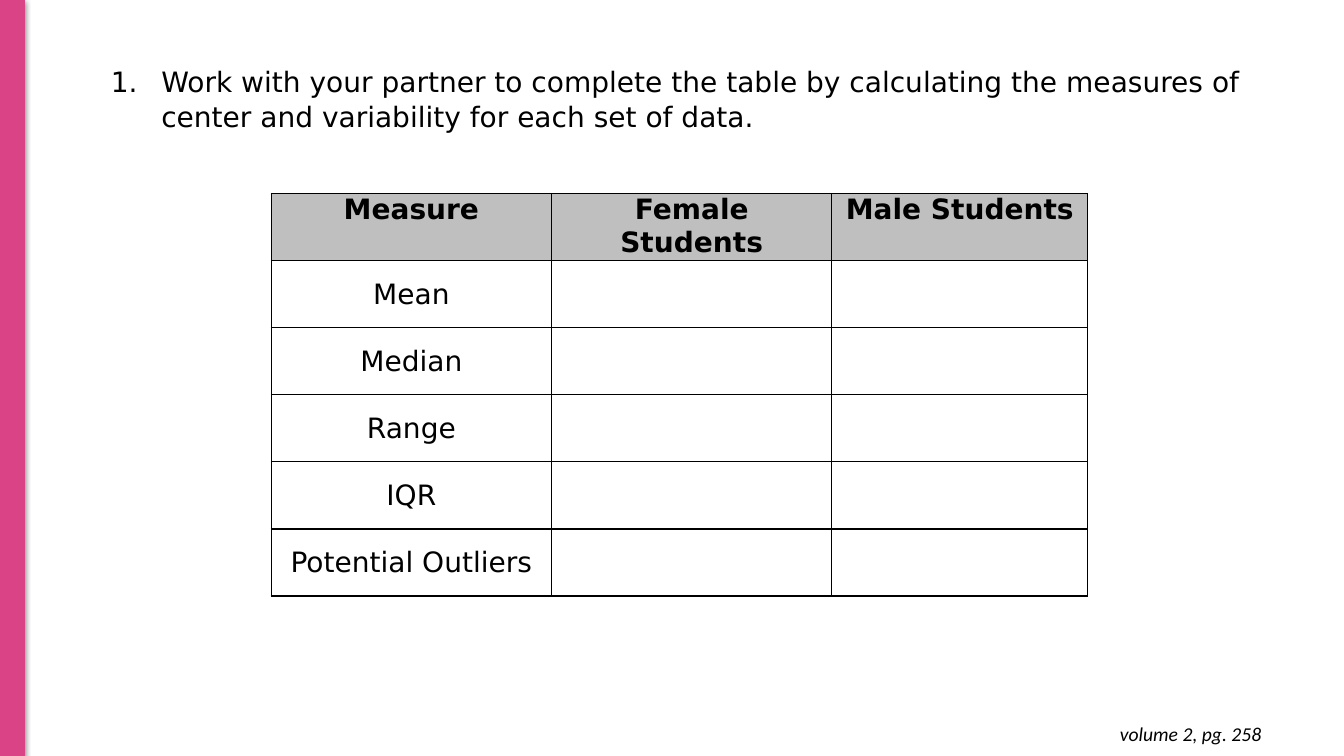
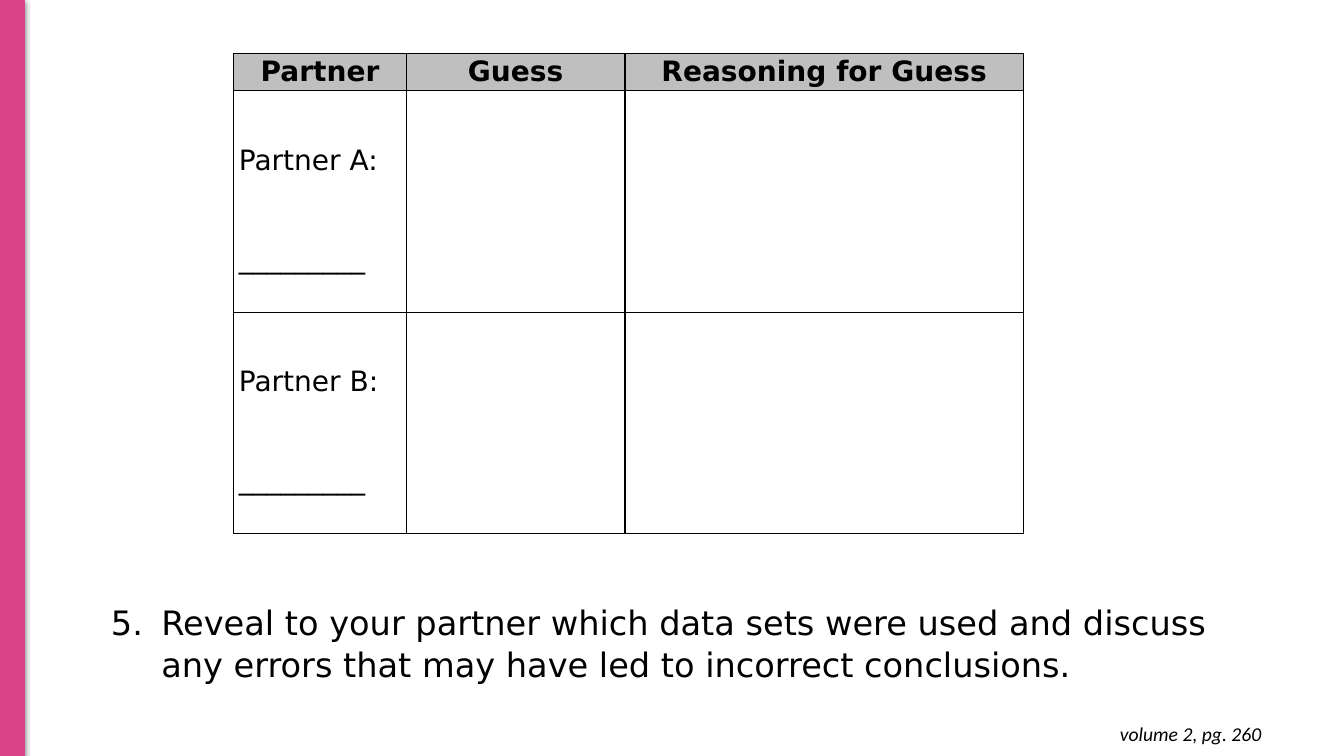
from lxml import etree
from pptx import Presentation
from pptx.dml.color import RGBColor
from pptx.enum.shapes import MSO_SHAPE
from pptx.enum.text import MSO_ANCHOR, MSO_AUTO_SIZE, PP_ALIGN
from pptx.oxml import parse_xml
from pptx.oxml.ns import nsdecls, qn
from pptx.util import Inches, Pt

RECTANGLE = MSO_SHAPE.RECTANGLE
TOP, MIDDLE = MSO_ANCHOR.TOP, MSO_ANCHOR.MIDDLE
LEFT, CENTER, RIGHT = PP_ALIGN.LEFT, PP_ALIGN.CENTER, PP_ALIGN.RIGHT

# Shared look
PINK = RGBColor(0xDA, 0x44, 0x87)
GRAY = RGBColor(0xBF, 0xBF, 0xBF)
BLACK = RGBColor(0x00, 0x00, 0x00)
TEXT_FONT, FOOTER_FONT = "DejaVu Sans", "Calibri"
CELL_SIZE, FOOTER_SIZE = 20, 14
ANSWER_GAP = Pt(35)
SLIDE_WIDTH, SLIDE_HEIGHT = Inches(13.33), Inches(7.5)

# Frames, in percent of the slide: left, top, width, height
BAND_FRAME = (0, 0, 1.8, 100)
FOOTER_FRAME = (73, 94.13, 21.6, 5.87)
TOP_TASK_FRAME = (7.5, 7.6, 86.27, 10.27)
BOTTOM_TASK_FRAME = (7.5, 78.67, 86.27, 14)


def across(percent):
    return int(SLIDE_WIDTH * percent / 100)


def down(percent):
    return int(SLIDE_HEIGHT * percent / 100)


def place(frame):
    left, top, width, height = frame
    return across(left), down(top), across(width), down(height)


def add_run(paragraph, text, size, font=TEXT_FONT, bold=False, italic=False):
    run = paragraph.add_run()
    run.text = text
    run.font.name = font
    run.font.size = Pt(size)
    run.font.bold = bold
    run.font.italic = italic
    run.font.color.rgb = BLACK


def add_band(slide):
    band = slide.shapes.add_shape(RECTANGLE, *place(BAND_FRAME))
    band.fill.solid()
    band.fill.fore_color.rgb = PINK
    band.line.color.rgb = PINK
    band.line.width = Pt(0.75)
    band.shadow.inherit = False
    effects = band.element.spPr.find(qn("a:effectLst"))
    effects.append(parse_xml(
        f'<a:outerShdw {nsdecls("a")} blurRad="{Pt(4.5)}" dist="{Pt(1.5)}" '
        'dir="5400000" rotWithShape="0"><a:srgbClr val="000000">'
        '<a:alpha val="50000"/></a:srgbClr></a:outerShdw>'))


def add_footer(slide, text):
    frame = slide.shapes.add_textbox(*place(FOOTER_FRAME)).text_frame
    frame.word_wrap = True
    frame.margin_top = frame.margin_bottom = Inches(0.1)
    paragraph = frame.paragraphs[0]
    paragraph.alignment = RIGHT
    add_run(paragraph, text, FOOTER_SIZE, FOOTER_FONT, italic=True)


def start_slide(presentation, footer):
    """Add a slide with the band and footer; it carries no title."""
    slide = presentation.slides.add_slide(presentation.slide_layouts[1])
    title = slide.shapes.title.element
    title.getparent().remove(title)
    add_band(slide)
    add_footer(slide, footer)
    return slide


def number_paragraph(paragraph, number):
    properties = paragraph._p.get_or_add_pPr()
    properties.set("marL", str(Inches(0.5)))
    properties.set("indent", str(-Inches(0.5)))
    color = etree.SubElement(properties, qn("a:buClr"))
    etree.SubElement(color, qn("a:srgbClr"), val=str(BLACK))
    etree.SubElement(properties, qn("a:buFont"), typeface=TEXT_FONT)
    etree.SubElement(properties, qn("a:buAutoNum"),
                     type="arabicPeriod", startAt=str(number))


def add_task(slide, frame, number, text, size):
    """Fill the body placeholder with one numbered instruction."""
    body = slide.placeholders[1]
    body.left, body.top, body.width, body.height = place(frame)
    body.text_frame.auto_size = MSO_AUTO_SIZE.NONE
    body.text_frame.vertical_anchor = TOP
    paragraph = body.text_frame.paragraphs[0]
    paragraph.alignment = LEFT
    paragraph.line_spacing = 1.05
    paragraph.space_before = Pt(0)
    number_paragraph(paragraph, number)
    add_run(paragraph, text, size)


def border_cell(cell):
    properties = cell._tc.get_or_add_tcPr()
    for side in ("lnL", "lnR", "lnT", "lnB"):
        line = etree.SubElement(properties, qn(f"a:{side}"), w=str(Pt(1)))
        fill = etree.SubElement(line, qn("a:solidFill"))
        etree.SubElement(fill, qn("a:srgbClr"), val=str(BLACK))


def format_cell(cell, margin, anchor, fill=None):
    cell.margin_left = cell.margin_right = Inches(margin)
    cell.margin_top = cell.margin_bottom = 0
    cell.vertical_anchor = anchor
    border_cell(cell)
    if fill is None:
        cell.fill.background()
    else:
        cell.fill.solid()
        cell.fill.fore_color.rgb = fill


def write_cell(cell, lines, alignment, bold=False, line_spacing=1.0):
    """Write one paragraph per line, with an answer gap between them."""
    frame = cell.text_frame
    for index, text in enumerate(lines):
        paragraph = frame.add_paragraph() if index else frame.paragraphs[0]
        paragraph.alignment = alignment
        paragraph.line_spacing = line_spacing
        if index:
            paragraph.space_before = ANSWER_GAP
        add_run(paragraph, text, CELL_SIZE, bold=bold)


def add_worksheet(slide, corner, columns, rows, headings, labels, margin,
                  heading_anchor=MIDDLE, label_alignment=CENTER,
                  label_spacing=1.0):
    """Add a table with headings, row labels and empty answer cells."""
    table = slide.shapes.add_table(
        len(rows), len(columns),
        *place((*corner, sum(columns), sum(rows)))).table
    table.first_row = table.horz_banding = False
    for column, width in zip(table.columns, columns):
        column.width = across(width)
    for row, height in zip(table.rows, rows):
        row.height = down(height)

    for index, heading in enumerate(headings):
        cell = table.cell(0, index)
        format_cell(cell, margin, heading_anchor, GRAY)
        write_cell(cell, [heading], CENTER, bold=True)
    for index, lines in enumerate(labels, start=1):
        for cell in table.rows[index].cells:
            format_cell(cell, margin, MIDDLE)
        write_cell(table.cell(index, 0), lines, label_alignment,
                   line_spacing=label_spacing)


def build_measures_slide(presentation):
    slide = start_slide(presentation, "volume 2, pg. 258")
    add_task(slide, TOP_TASK_FRAME, 1,
             "Work with your partner to complete the table by calculating "
             "the measures of center and variability for each set of data.",
             size=20)
    measures = ["Mean", "Median", "Range", "IQR", "Potential Outliers"]
    add_worksheet(slide, corner=(20.18, 25.6),
                  columns=[20.86, 20.86, 19.05],
                  rows=[8.87] * (len(measures) + 1),
                  headings=["Measure", "Female Students", "Male Students"],
                  labels=[[measure] for measure in measures],
                  margin=0.07, heading_anchor=TOP)


def build_guess_slide(presentation):
    slide = start_slide(presentation, "volume 2, pg. 260")
    add_task(slide, BOTTOM_TASK_FRAME, 5,
             "Reveal to your partner which data sets were used and discuss "
             "any errors that may have led to incorrect conclusions.",
             size=24)
    add_worksheet(slide, corner=(17.4, 7.07),
                  columns=[12.83, 16.28, 29.63],
                  rows=[4.93, 29.3, 29.3],
                  headings=["Partner", "Guess", "Reasoning for Guess"],
                  labels=[[f"Partner {letter}:", "_________"]
                          for letter in "AB"],
                  margin=0.05, label_alignment=LEFT, label_spacing=1.5)


def main():
    presentation = Presentation()
    presentation.slide_width = SLIDE_WIDTH
    presentation.slide_height = SLIDE_HEIGHT
    build_measures_slide(presentation)
    build_guess_slide(presentation)
    presentation.save("out.pptx")


if __name__ == "__main__":
    main()
